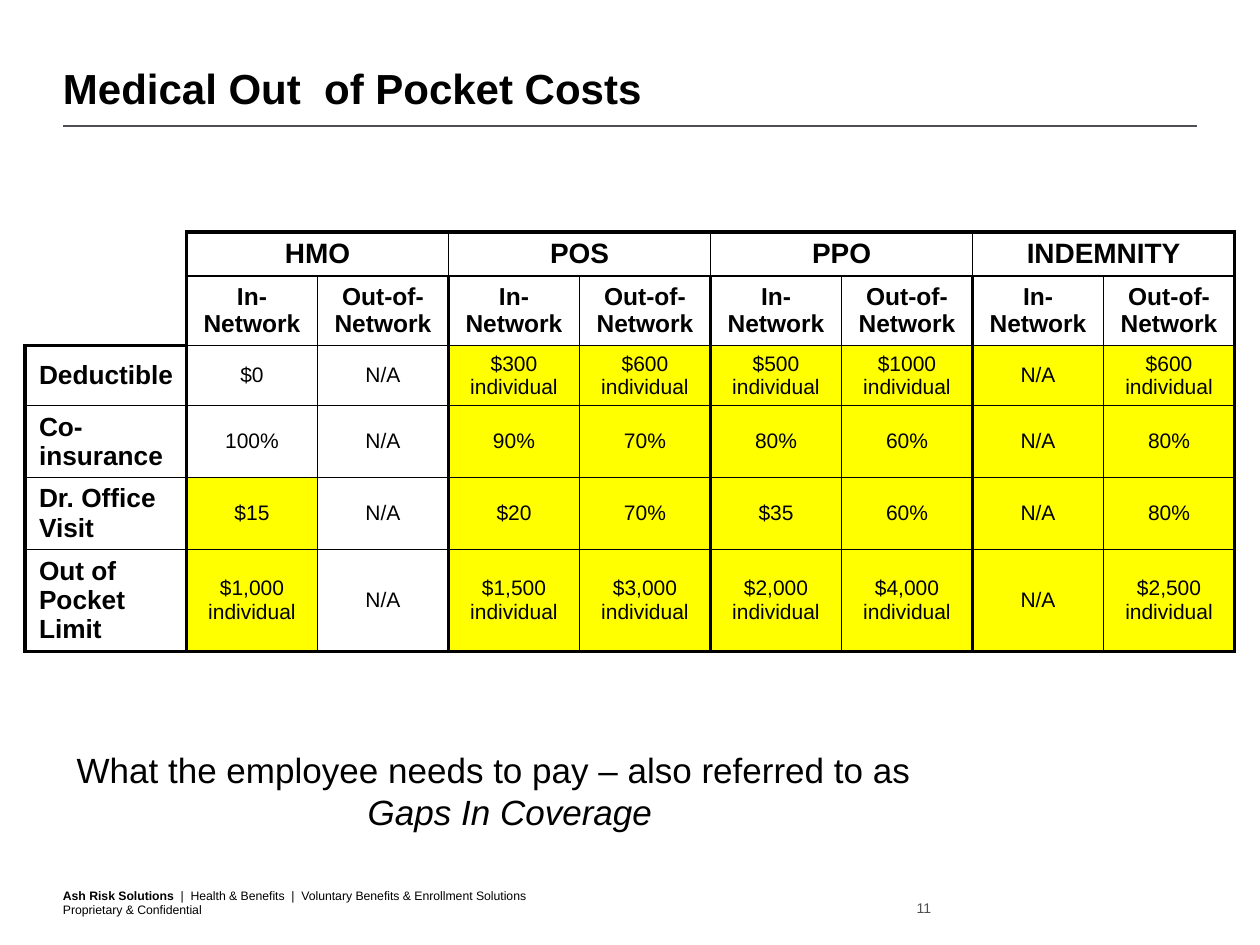
from dataclasses import dataclass

from lxml.etree import SubElement
from pptx import Presentation
from pptx.dml.color import RGBColor
from pptx.enum.text import MSO_ANCHOR, PP_ALIGN
from pptx.oxml.ns import qn
from pptx.util import Inches, Pt


@dataclass(frozen=True)
class Theme:
    """Colours, type sizes and border weights of the slide."""
    font: str = "Arial"
    ink: RGBColor = RGBColor(0, 0, 0)
    grey: RGBColor = RGBColor(0x4D, 0x4F, 0x53)
    gap: RGBColor = RGBColor(0xFF, 0xFF, 0)
    title: int = 24
    note: int = 20
    plan: int = 16
    network: int = 14
    benefit: int = 15
    cost: int = 12
    footer: int = 7
    page: int = 8
    rule: float = 0.75
    thin: float = 1
    heavy: float = 2.25


THEME = Theme()
PLANS = ["HMO", "POS", "PPO", "INDEMNITY"]
NETWORKS = ["In-Network", "Out-of-Network"]
COSTS = [
    ["Deductible", "$0", "N/A", "$300 individual", "$600 individual",
     "$500 individual", "$1000 individual", "N/A", "$600 individual"],
    ["Co-insurance", "100%", "N/A", "90%", "70%", "80%", "60%", "N/A", "80%"],
    ["Dr. Office Visit", "$15", "N/A", "$20", "70%", "$35", "60%", "N/A", "80%"],
    ["Out of Pocket Limit", "$1,000 individual", "N/A", "$1,500 individual",
     "$3,000 individual", "$2,000 individual", "$4,000 individual", "N/A",
     "$2,500 individual"],
]
ROW_HEIGHTS = [0.35, 0.55, 0.48, 0.57, 0.57, 0.8]
BENEFIT_WIDTH, COST_WIDTH = 1.28, 1.04


def style_runs(paragraph, size, color=THEME.ink, bold=False, italic=False):
    """Apply one text style to every run of a paragraph."""
    for run in paragraph.runs:
        font = run.font
        font.name, font.size = THEME.font, Pt(size)
        font.bold, font.italic = bold, italic
        font.color.rgb = color


def add_text(slide, left, top, width, height, inset=0, anchor=MSO_ANCHOR.BOTTOM):
    """Add an empty wrapping text box and return its text frame."""
    frame = slide.shapes.add_textbox(
        Inches(left), Inches(top), Inches(width), Inches(height)).text_frame
    frame.word_wrap = True
    frame.vertical_anchor = anchor
    frame.margin_left = frame.margin_right = Inches(inset)
    frame.margin_top = frame.margin_bottom = Inches(inset / 2)
    return frame


def add_heading(slide, left, top, width, height):
    """Place the title and the rule below it."""
    heading = add_text(slide, left, top, width, height)
    heading.text = "Medical Out  of Pocket Costs"
    style_runs(heading.paragraphs[0], THEME.title, bold=True)
    rule_y = Inches(top + height + 0.1)
    rule = slide.shapes.add_connector(1, Inches(left), rule_y, Inches(left + width), rule_y)
    rule.line.color.rgb = THEME.grey
    rule.line.width = Pt(THEME.rule)
    SubElement(rule._element.spPr, qn("a:effectLst"))


def column_edge(row, edge):
    """Return the weight of a vertical table edge, or None for no line."""
    if row < 2 and edge == 0:
        return None
    heavy_edges = (1, 9) if row == 0 else (0, 1, 3, 5, 7, 9)
    return THEME.heavy if edge in heavy_edges else THEME.thin


def row_edge(edge, col):
    """Return the weight of a horizontal table edge, or None for no line."""
    if col == 0 and edge < 2:
        return None
    heavy = edge in (0, len(ROW_HEIGHTS)) or (col == 0 and edge == 2)
    return THEME.heavy if heavy else THEME.thin


def set_borders(cell, row, col):
    """Draw the four borders of a cell."""
    span = cell.span_width if cell.is_merge_origin else 1
    weights = {"L": column_edge(row, col), "R": column_edge(row, col + span),
               "T": row_edge(row, col), "B": row_edge(row + 1, col)}
    properties = cell._tc.get_or_add_tcPr()
    for side, weight in weights.items():
        border = SubElement(properties, qn(f"a:ln{side}"))
        if weight is None:
            SubElement(border, qn("a:noFill"))
            continue
        border.set("w", str(Pt(weight)))
        fill = SubElement(border, qn("a:solidFill"))
        SubElement(fill, qn("a:srgbClr")).set("val", str(THEME.ink))


def fill_cell(cell, row, col, text):
    """Write and style one cell of the cost table."""
    cell.margin_left = Inches(0.11)
    cell.margin_right = Inches(0.11 if col else 0.04)
    cell.margin_top = cell.margin_bottom = Inches(0.03)
    cell.vertical_anchor = MSO_ANCHOR.MIDDLE
    set_borders(cell, row, col)
    if row >= 2 and (col >= 3 or (col == 1 and row >= 4)):
        cell.fill.solid()
        cell.fill.fore_color.rgb = THEME.gap
    else:
        cell.fill.background()
    if row < 2:
        size = (THEME.plan, THEME.network)[row]
    else:
        size = THEME.cost if col else THEME.benefit
    paragraph = cell.text_frame.paragraphs[0]
    paragraph.text = text
    paragraph.font.size = Pt(size)
    paragraph.alignment = PP_ALIGN.CENTER if col else PP_ALIGN.LEFT
    style_runs(paragraph, size, bold=row < 2 or col == 0)


def add_cost_table(slide, left, top):
    """Place the table of costs by plan and network."""
    plan_row = [""] + [text for plan in PLANS for text in (plan, "")]
    rows = [plan_row, [""] + NETWORKS * len(PLANS)] + COSTS
    widths = [BENEFIT_WIDTH] + [COST_WIDTH] * (len(plan_row) - 1)
    table = slide.shapes.add_table(
        len(rows), len(widths), Inches(left), Inches(top),
        Inches(sum(widths)), Inches(sum(ROW_HEIGHTS))).table
    table.first_row = table.horz_banding = False
    for column, width in zip(table.columns, widths):
        column.width = Inches(width)
    for table_row, height in zip(table.rows, ROW_HEIGHTS):
        table_row.height = Inches(height)
    for col in range(1, len(widths), 2):
        table.cell(0, col).merge(table.cell(0, col + 1))
    for row, texts in enumerate(rows):
        for col, text in enumerate(texts):
            fill_cell(table.cell(row, col), row, col, text)


def add_note(slide, left, top, width, height):
    """Place the explanation of the highlighted costs."""
    note = add_text(slide, left, top, width, height, 0.1, MSO_ANCHOR.TOP)
    note.text = "What the employee needs to pay – also referred to as"
    style_runs(note.paragraphs[0], THEME.note)
    term = note.add_paragraph()
    term.text = "Gaps In Coverage"
    term._p.get_or_add_pPr().set("marL", str(Inches(2.31)))
    style_runs(term, THEME.note, italic=True)


def add_footer(slide, left, top, width, height):
    """Place the business line, the confidentiality line and the page number."""
    footer = add_text(slide, left, top, width, height).paragraphs[0]
    footer.text = "Ash Risk Solutions  "
    footer.add_run().text = "|  Health & Benefits  |  Voluntary Benefits & Enrollment Solutions"
    footer.add_line_break()
    footer.add_run().text = "Proprietary & Confidential"
    style_runs(footer, THEME.footer)
    footer.runs[0].font.bold = True
    page = add_text(slide, 7, top + 0.1, 0.39, 0.13).paragraphs[0]
    page.text = "11"
    page.alignment = PP_ALIGN.RIGHT
    style_runs(page, THEME.page, THEME.grey)


def main():
    """Build and save the slide."""
    deck = Presentation()
    deck.slide_width, deck.slide_height = Inches(10), Inches(7.5)
    slide = deck.slides.add_slide(deck.slide_layouts[6])
    add_heading(slide, 0.5, 0.33, 9, 0.57)
    add_cost_table(slide, 0.2, 1.84)
    add_note(slide, 0.51, 5.89, 8.35, 0.77)
    add_footer(slide, 0.5, 7.04, 6.6, 0.24)
    deck.save("out.pptx")


if __name__ == "__main__":
    main()
